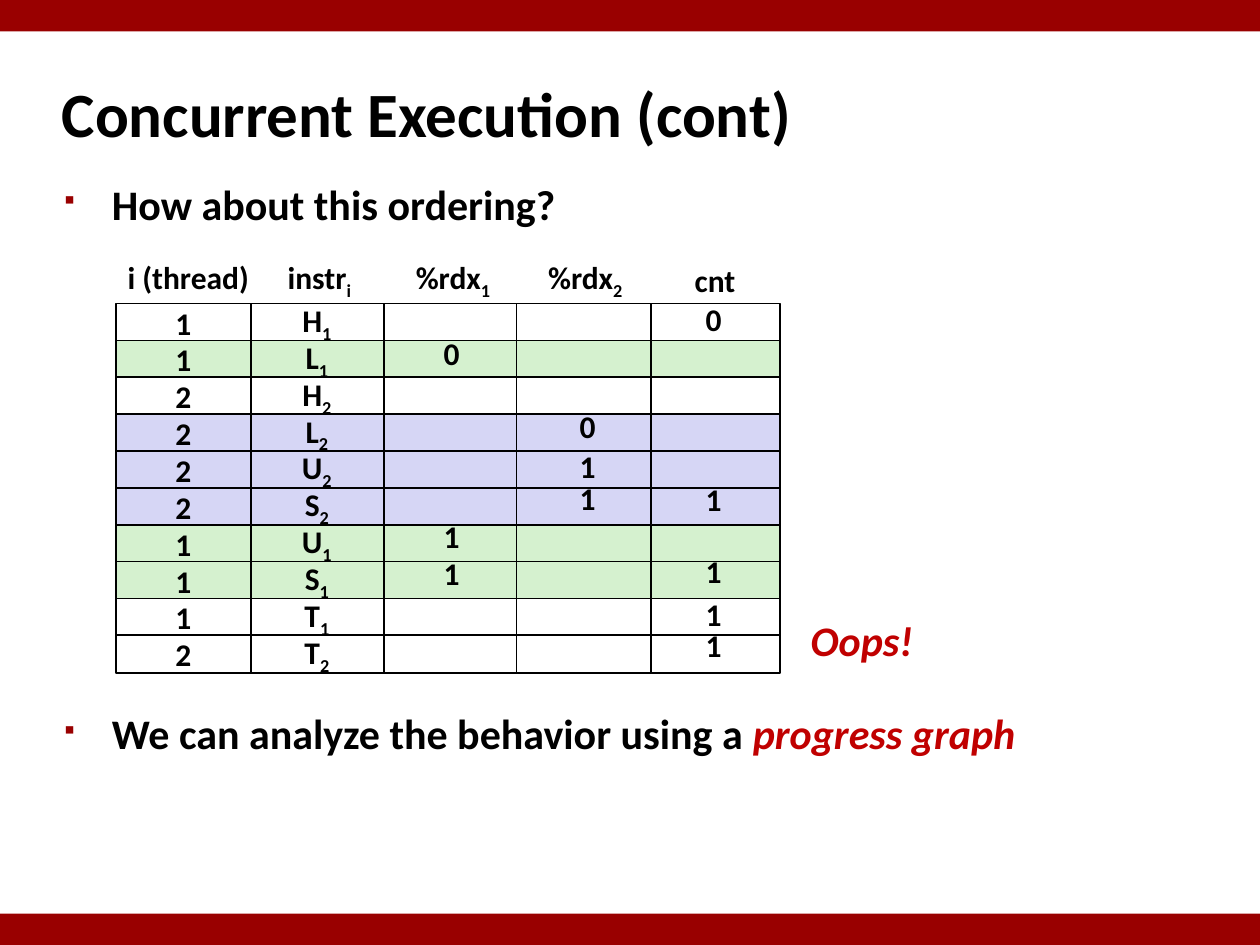
from lxml.etree import SubElement
from pptx import Presentation
from pptx.dml.color import RGBColor
from pptx.enum.shapes import MSO_SHAPE
from pptx.enum.text import MSO_ANCHOR, PP_ALIGN
from pptx.oxml.ns import qn
from pptx.util import Inches, Pt

RED, ACCENT, BLACK = "990000", "C00000", "000000"
WHITE, GREEN, BLUE = "FFFFFF", "D5F1CF", "D6D6F5"


def color(value):
    return RGBColor.from_string(value)


def add_text(para, text, size, ink=BLACK, italic=False):
    """Add bold text; each part after an underscore is a subscript."""
    formats = {"name": "Calibri", "size": Pt(size), "bold": True, "italic": italic}
    for index, part in enumerate(text.split("_")):
        span = para.add_run()
        span.text = part
        for name, value in formats.items():
            setattr(span.font, name, value)
        span.font.color.rgb = color(ink)
        if index:
            span._r.get_or_add_rPr().set("baseline", "-25000")


deck = Presentation()
deck.slide_width, deck.slide_height = Inches(10), Inches(7.5)
page = deck.slides.add_slide(deck.slide_layouts[5])

# Bars along the top and bottom edges
bar_height = Inches(0.25)
for top in (0, deck.slide_height - bar_height):
    bar = page.shapes.add_shape(MSO_SHAPE.RECTANGLE, 0, top, deck.slide_width, bar_height)
    bar.shadow.inherit = False
    bar.fill.solid()
    bar.fill.fore_color.rgb = color(RED)
    bar.line.fill.background()

# Title
title = page.shapes.title
place = {"left": 0.39, "top": 0.48, "width": 8.3, "height": 0.83}
for name, value in place.items():
    setattr(title, name, Inches(value))
title.text_frame.vertical_anchor = MSO_ANCHOR.MIDDLE
para = title.text_frame.paragraphs[0]
para.alignment = PP_ALIGN.LEFT
add_text(para, "Concurrent Execution (cont)", 36)

# Bullets above and below the trace
bullets = [
    [("How about this ordering?", BLACK, False)],
    [("We can analyze the behavior using a ", BLACK, False), ("progress graph", ACCENT, True)],
]
box = page.shapes.add_textbox(Inches(0.41), Inches(1.37), Inches(8.64), Inches(5.44))
box.text_frame.word_wrap = True
for index, spans in enumerate(bullets):
    para = box.text_frame.add_paragraph() if index else box.text_frame.paragraphs[0]
    layout = para._p.get_or_add_pPr()
    layout.set("marL", str(Inches(0.38)))
    layout.set("indent", str(-Inches(0.38)))
    SubElement(SubElement(layout, qn("a:buClr")), qn("a:srgbClr"), val=RED)
    SubElement(layout, qn("a:buSzPct"), val="60000")
    SubElement(layout, qn("a:buFont"), typeface="Wingdings", charset="2")
    SubElement(layout, qn("a:buChar"), char="§")
    if index:
        para.space_before = Pt(273.6)
    for text, ink, italic in spans:
        add_text(para, text, 24, ink, italic)

# Trace grid: thread and instruction are written in their cells
trace = [
    (WHITE, "1", "H_1"), (GREEN, "1", "L_1"), (WHITE, "2", "H_2"), (BLUE, "2", "L_2"),
    (BLUE, "2", "U_2"), (BLUE, "2", "S_2"), (GREEN, "1", "U_1"), (GREEN, "1", "S_1"),
    (WHITE, "1", "T_1"), (WHITE, "2", "T_2"),
]
columns = {"instr": 1.98, "thread": 0.92, "rdx1": 3.05, "cnt": 5.12, "rdx2": 4.1}
grid_top, row_step, cell_width, cell_height = 2.41, 0.29 + 0.02 / 8, 1.07, 0.3
for column, left in columns.items():
    for row, (fill, thread, instruction) in enumerate(trace):
        cell = page.shapes.add_shape(
            MSO_SHAPE.RECTANGLE, Inches(left), Inches(grid_top + row * row_step),
            Inches(cell_width), Inches(cell_height))
        cell.shadow.inherit = False
        cell.fill.solid()
        cell.fill.fore_color.rgb = color(fill)
        cell.line.color.rgb = color(BLACK)
        cell.line.width = Pt(1)
        text = {"thread": thread, "instr": instruction}.get(column)
        if text:
            cell.text_frame.vertical_anchor = MSO_ANCHOR.MIDDLE
            para = cell.text_frame.paragraphs[0]
            para.alignment = PP_ALIGN.CENTER
            add_text(para, text, 18)

# Labels: column headings, register and counter values, closing remark
labels = [
    ("i (thread)", 0.91, 2, 1.17), ("instr_i", 2.18, 2.02, 0.71), ("%rdx_1", 3.19, 2.02, 0.81),
    ("%rdx_2", 4.24, 2.02, 0.81), ("cnt", 5.41, 2.02, 0.53),
]
values = [
    (3.42, [("0", 2.6), ("1", 4.05), ("1", 4.35)]),
    (4.5, [("0", 3.18), ("1", 3.5), ("1", 3.75)]),
    (5.5, [("0", 2.33), ("1", 3.76), ("1", 4.33), ("1", 4.67), ("1", 4.92)]),
]
labels += [(text, left, top, 0.33) for left, entries in values for text, top in entries]
styles = {"Oops!": (24, ACCENT, True)}
labels.append(("Oops!", 6.33, 4.83, 1.02))
for text, left, top, width in labels:
    style = styles.get(text, (18, BLACK, False))
    height = 0.5 if text in styles else 0.4
    label = page.shapes.add_textbox(Inches(left), Inches(top), Inches(width), Inches(height))
    label.text_frame.word_wrap = False
    label.text_frame.vertical_anchor = MSO_ANCHOR.MIDDLE
    para = label.text_frame.paragraphs[0]
    para.alignment = PP_ALIGN.CENTER
    add_text(para, text, *style)

deck.save("out.pptx")
